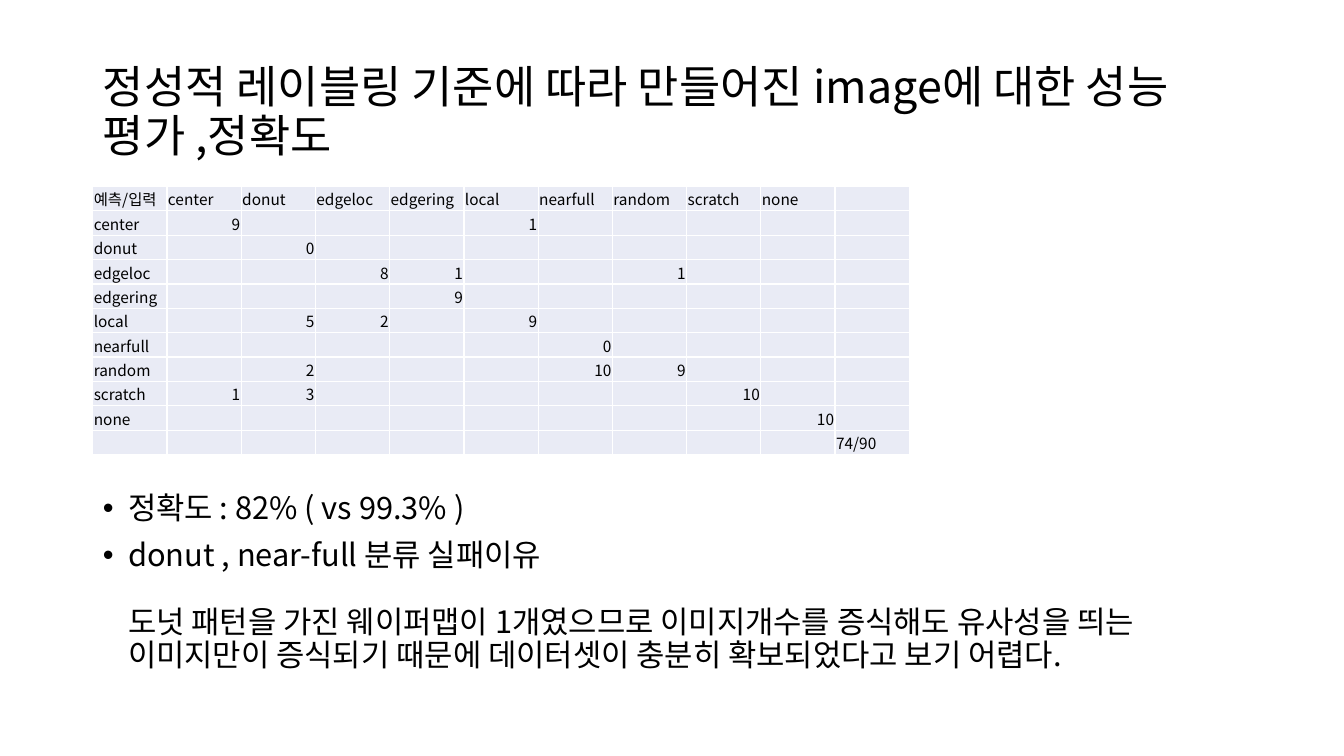
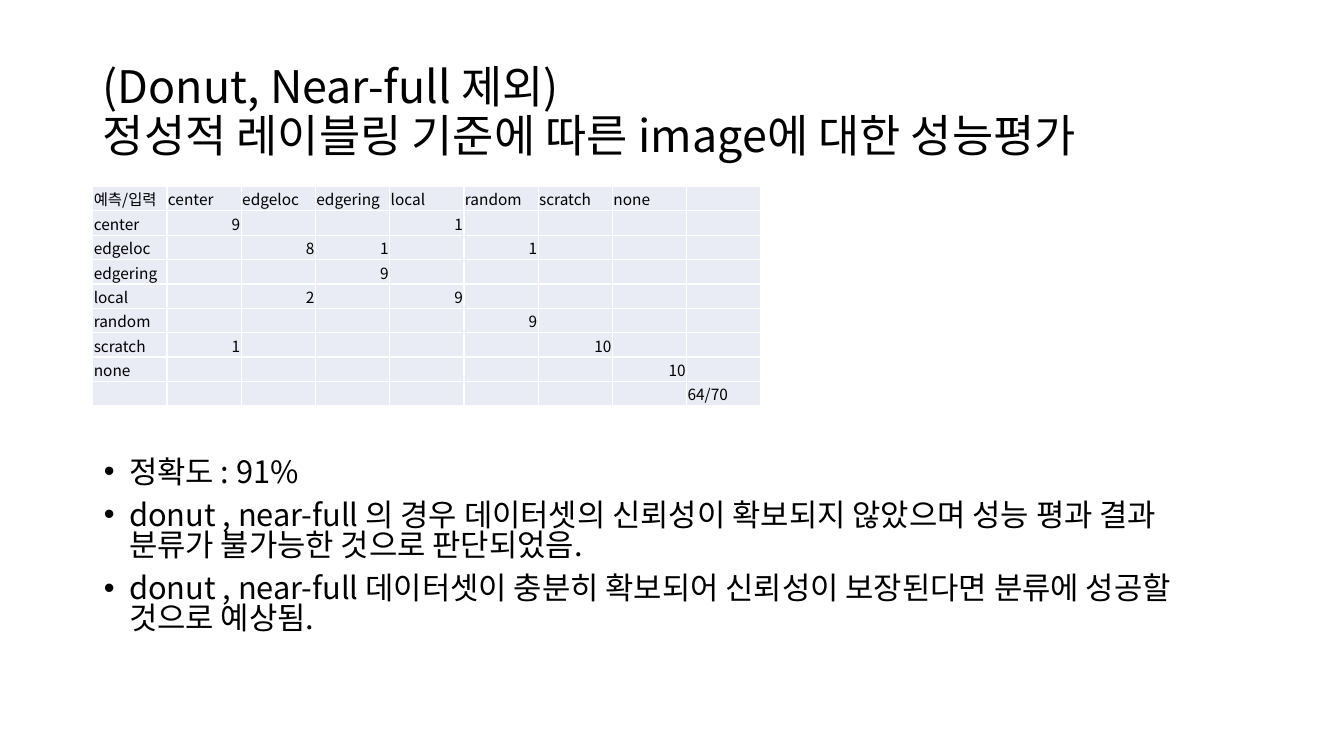
from dataclasses import dataclass

from lxml import etree
from pptx import Presentation
from pptx.dml.color import RGBColor
from pptx.enum.text import MSO_ANCHOR, MSO_AUTO_SIZE, PP_ALIGN
from pptx.oxml.ns import qn
from pptx.util import Inches, Pt

MIDDLE, TOP = MSO_ANCHOR.MIDDLE, MSO_ANCHOR.TOP
LEFT, RIGHT = PP_ALIGN.LEFT, PP_ALIGN.RIGHT
NO_AUTOFIT = MSO_AUTO_SIZE.NONE


@dataclass(frozen=True)
class Theme:
    """Colours, font, type sizes and shared measures."""
    font: str = "Noto Sans CJK KR"
    ink: str = "000000"
    cell: str = "E9EBF5"
    border: str = "FFFFFF"
    title_size: int = 32
    body_size: int = 22
    cell_size: int = 11
    left: float = 0.92
    width: float = 11.5
    table_top: float = 1.85
    col_width: float = 8.1 / 11
    row_height: float = 2.66 / 11


THEME = Theme()
CLASSES = ["center", "donut", "edgeloc", "edgering", "local",
           "nearfull", "random", "scratch", "none"]
COUNTS = {
    "center": {"center": 9, "local": 1},
    "donut": {"donut": 0},
    "edgeloc": {"edgeloc": 8, "edgering": 1, "random": 1},
    "edgering": {"edgering": 9},
    "local": {"donut": 5, "edgeloc": 2, "local": 9},
    "nearfull": {"nearfull": 0},
    "random": {"donut": 2, "nearfull": 10, "random": 9},
    "scratch": {"center": 1, "donut": 3, "scratch": 10},
    "none": {"none": 10},
}


def style_runs(p, size):
    """Apply the theme font and colour to every run of a paragraph."""
    for r in p.runs:
        r.font.size = Pt(size)
        r.font.name = THEME.font
        r.font.color.rgb = RGBColor.from_string(THEME.ink)


def place(shape, left, top, height, anchor):
    """Move a placeholder into the content column and fix its text box."""
    shape.left, shape.top = Inches(left), Inches(top)
    shape.width, shape.height = Inches(THEME.width), Inches(height)
    tf = shape.text_frame
    tf.word_wrap = True
    tf.auto_size = NO_AUTOFIT
    tf.vertical_anchor = anchor
    return tf


def set_title(s, text):
    """Fill the title placeholder."""
    tf = place(s.shapes.title, THEME.left, 0.4, 1.45, MIDDLE)
    tf.text = text
    p = tf.paragraphs[0]
    p.alignment = LEFT
    p.line_spacing = 0.9
    style_runs(p, THEME.title_size)


def set_bullet(p, bulleted):
    """Give a paragraph a hanging bullet, or the same indent without one."""
    pPr = p._p.get_or_add_pPr()
    pPr.set("marL", str(Inches(0.25)))
    pPr.set("indent", str(Inches(-0.25) if bulleted else 0))
    if bulleted:
        etree.SubElement(pPr, qn("a:buFont")).set("typeface", "Arial")
        etree.SubElement(pPr, qn("a:buChar")).set("char", "•")
    else:
        etree.SubElement(pPr, qn("a:buNone"))


def set_body(s, left, top, height, spacing, bullets, note=None):
    """Fill the body placeholder with bullets and an optional plain note."""
    tf = place(s.placeholders[1], left, top, height, TOP)
    tf.text = "\n".join(bullets + ([note] if note else []))
    for i, p in enumerate(tf.paragraphs):
        bulleted = i < len(bullets)
        p.line_spacing = spacing
        p.space_before = Pt(10 if bulleted else 24)
        set_bullet(p, bulleted)
        style_runs(p, THEME.body_size)


def set_borders(cell):
    """Draw the four thin borders of a table cell."""
    tcPr = cell._tc.get_or_add_tcPr()
    for i, side in enumerate(("lnL", "lnR", "lnT", "lnB")):
        ln = etree.Element(qn(f"a:{side}"), w=str(Pt(1)))
        fill = etree.SubElement(ln, qn("a:solidFill"))
        etree.SubElement(fill, qn("a:srgbClr")).set("val", THEME.border)
        tcPr.insert(i, ln)


def fill_cell(cell, value):
    """Write one cell, with numbers set to the right."""
    cell.fill.solid()
    cell.fill.fore_color.rgb = RGBColor.from_string(THEME.cell)
    set_borders(cell)
    cell.vertical_anchor = MIDDLE
    cell.margin_left = cell.margin_right = cell.margin_top = Inches(0.01)
    cell.margin_bottom = 0
    cell.text = str(value)
    p = cell.text_frame.paragraphs[0]
    p.alignment = RIGHT if isinstance(value, int) else LEFT
    style_runs(p, THEME.cell_size)
    if value == "":
        end = etree.SubElement(p._p, qn("a:endParaRPr"))
        end.set("sz", str(THEME.cell_size * 100))


def add_confusion_table(s, classes, score):
    """Add the prediction table for the given classes, ending in the score."""
    rows = [["예측/입력", *classes, ""]]
    rows += [[name, *(COUNTS[name].get(c, "") for c in classes), ""]
             for name in classes]
    rows.append([""] * (len(classes) + 1) + [score])
    n = len(rows)
    table = s.shapes.add_table(
        n, n, Inches(THEME.left), Inches(THEME.table_top),
        Inches(n * THEME.col_width), Inches(n * THEME.row_height)).table
    table.first_row = table.horz_banding = False
    for col in table.columns:
        col.width = Inches(THEME.col_width)
    for row, values in zip(table.rows, rows):
        row.height = Inches(THEME.row_height)
        for cell, value in zip(row.cells, values):
            fill_cell(cell, value)


def add_result_slide(prs, title, classes, score):
    """Add a slide with a title and a prediction table."""
    s = prs.slides.add_slide(prs.slide_layouts[1])
    set_title(s, title)
    add_confusion_table(s, classes, score)
    return s


def main():
    """Build and save the presentation."""
    prs = Presentation()
    prs.slide_width, prs.slide_height = Inches(13.33), Inches(7.5)

    s = add_result_slide(
        prs, "정성적 레이블링 기준에 따라 만들어진 image에 대한 성능 평가 ,정확도",
        CLASSES, "74/90")
    set_body(s, THEME.left, 4.84, 2.5, 0.9,
             ["정확도 : 82% ( vs 99.3% )", "donut , near-full 분류 실패이유"],
             "도넛 패턴을 가진 웨이퍼맵이 1개였으므로 이미지개수를 증식해도 유사성을 띄는 "
             "이미지만이 증식되기 때문에 데이터셋이 충분히 확보되었다고 보기 어렵다.")

    kept = [c for c in CLASSES if c not in ("donut", "nearfull")]
    s = add_result_slide(
        prs, "(Donut, Near-full 제외) \v정성적 레이블링 기준에 따른 image에 대한 성능평가",
        kept, "64/70")
    set_body(s, 0.93, 4.51, 2.1, 0.8,
             ["정확도 : 91%",
              "donut , near-full 의 경우 데이터셋의 신뢰성이 확보되지 않았으며 "
              "성능 평과 결과 분류가 불가능한 것으로 판단되었음.",
              "donut , near-full 데이터셋이 충분히 확보되어 신뢰성이 보장된다면 "
              "분류에 성공할 것으로 예상됨."])

    prs.save("out.pptx")


if __name__ == "__main__":
    main()
